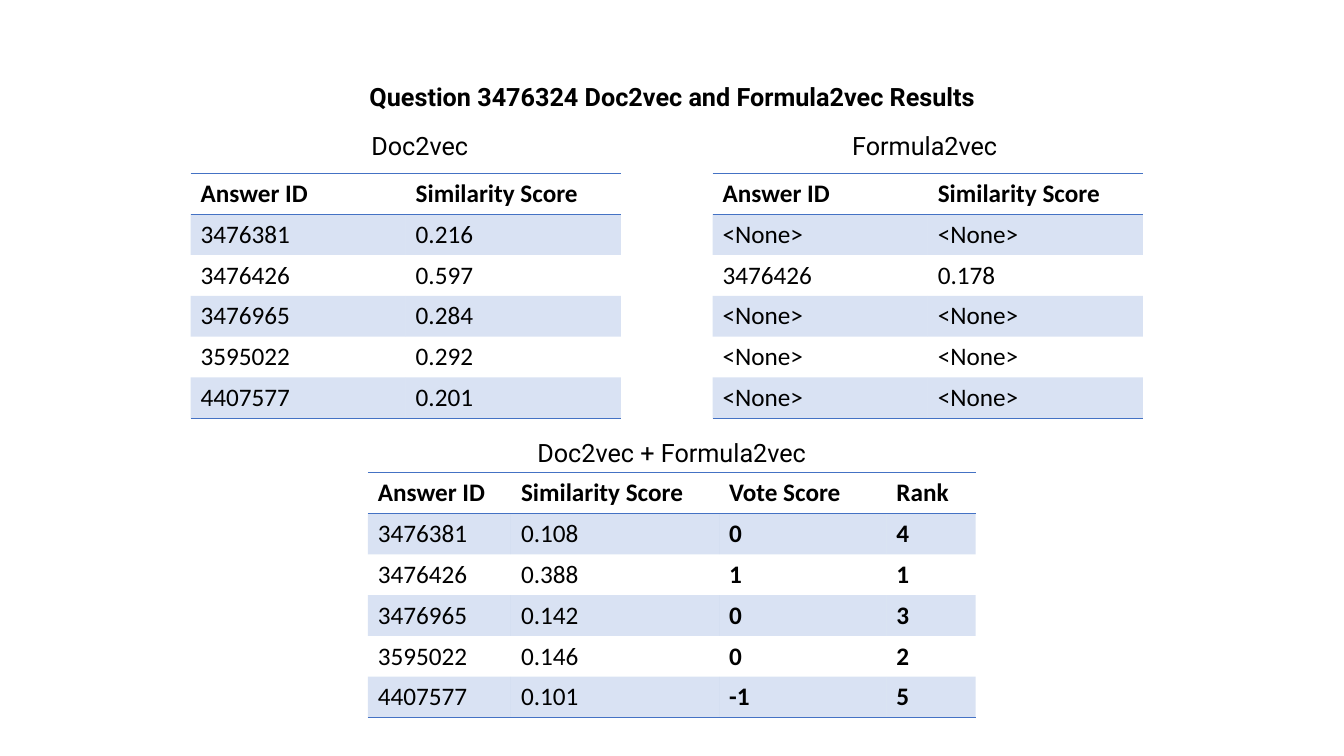
from lxml import etree
from pptx import Presentation
from pptx.dml.color import RGBColor
from pptx.enum.text import MSO_AUTO_SIZE, PP_ALIGN
from pptx.oxml.ns import qn
from pptx.util import Pt

PX = 4572
ROW_HEIGHT = 81
CENTER = PP_ALIGN.CENTER
GROW = MSO_AUTO_SIZE.SHAPE_TO_FIT_TEXT
PLAIN_STYLE = "{2D5ABB26-0587-4C30-8999-92F81FD0307C}"
COLORS = {"text": "000000", "accent": "4472C4"}
BAND_ALPHA = 20000


def write(paragraph, text, face, bold):
    run = paragraph.add_run()
    run.text = text
    for attribute, value in {"name": face, "size": Pt(18), "bold": bold}.items():
        setattr(run.font, attribute, value)
    run.font.color.rgb = RGBColor.from_string(COLORS["text"])


def add_rule(cell, side):
    rule = etree.SubElement(cell._tc.get_or_add_tcPr(), qn(f"a:{side}"), w=str(Pt(1)))
    ink = etree.SubElement(rule, qn("a:solidFill"))
    etree.SubElement(ink, qn("a:srgbClr"), val=COLORS["accent"])


deck = Presentation()
deck.slide_width, deck.slide_height = 2667 * PX, 1500 * PX
slide = deck.slides.add_slide(deck.slide_layouts[6])

headings = [
    ("Question 3476324 Doc2vec and Formula2vec Results", 332, 152, 2004, True),
    ("Doc2vec", 332, 248, 1002, False),
    ("Formula2vec", 1334, 248, 1002, False),
    ("Doc2vec + Formula2vec", 832, 858, 1002, False),
]
for text, left, top, width, bold in headings:
    frame = slide.shapes.add_textbox(left * PX, top * PX, width * PX, 80 * PX).text_frame
    for attribute, value in {"word_wrap": True, "auto_size": GROW}.items():
        setattr(frame, attribute, value)
    frame.paragraphs[0].alignment = CENTER
    write(frame.paragraphs[0], text, "Roboto", bold)

answers = ["3476381", "3476426", "3476965", "3595022", "4407577"]
none = "<None>"
doc_scores = {
    "Answer ID": answers,
    "Similarity Score": ["0.216", "0.597", "0.284", "0.292", "0.201"],
}
formula_scores = {
    "Answer ID": [none, "3476426", none, none, none],
    "Similarity Score": [none, "0.178", none, none, none],
}
combined_scores = {
    "Answer ID": answers,
    "Similarity Score": ["0.108", "0.388", "0.142", "0.146", "0.101"],
    "Vote Score": ["0", "1", "0", "0", "-1"],
    "Rank": ["4", "1", "3", "2", "5"],
}
bold_columns = ("Vote Score", "Rank")

results = [
    (doc_scores, 378, 344, [427, 427]),
    (formula_scores, 1414, 344, [427, 427]),
    (combined_scores, 730, 938, [284, 413, 332, 177]),
]
for scores, left, top, widths in results:
    row_count = len(answers) + 1
    table = slide.shapes.add_table(
        row_count, len(scores), left * PX, top * PX,
        sum(widths) * PX, row_count * ROW_HEIGHT * PX,
    ).table
    table.horz_banding = False
    table._tbl.tblPr.find(qn("a:tableStyleId")).text = PLAIN_STYLE
    for row in table.rows:
        row.height = ROW_HEIGHT * PX
    for c, (header, values) in enumerate(scores.items()):
        table.columns[c].width = widths[c] * PX
        for r, text in enumerate([header, *values]):
            cell = table.cell(r, c)
            bold = r == 0 or header in bold_columns
            write(cell.text_frame.paragraphs[0], text, "Calibri", bold)
            if r == 0:
                add_rule(cell, "lnT")
            if r in (0, row_count - 1):
                add_rule(cell, "lnB")
            if r % 2:
                cell.fill.solid()
                cell.fill.fore_color.rgb = RGBColor.from_string(COLORS["accent"])
                tint = cell._tc.tcPr.find(qn("a:solidFill"))[0]
                etree.SubElement(tint, qn("a:alpha"), val=str(BAND_ALPHA))
            else:
                cell.fill.background()

deck.save("out.pptx")
